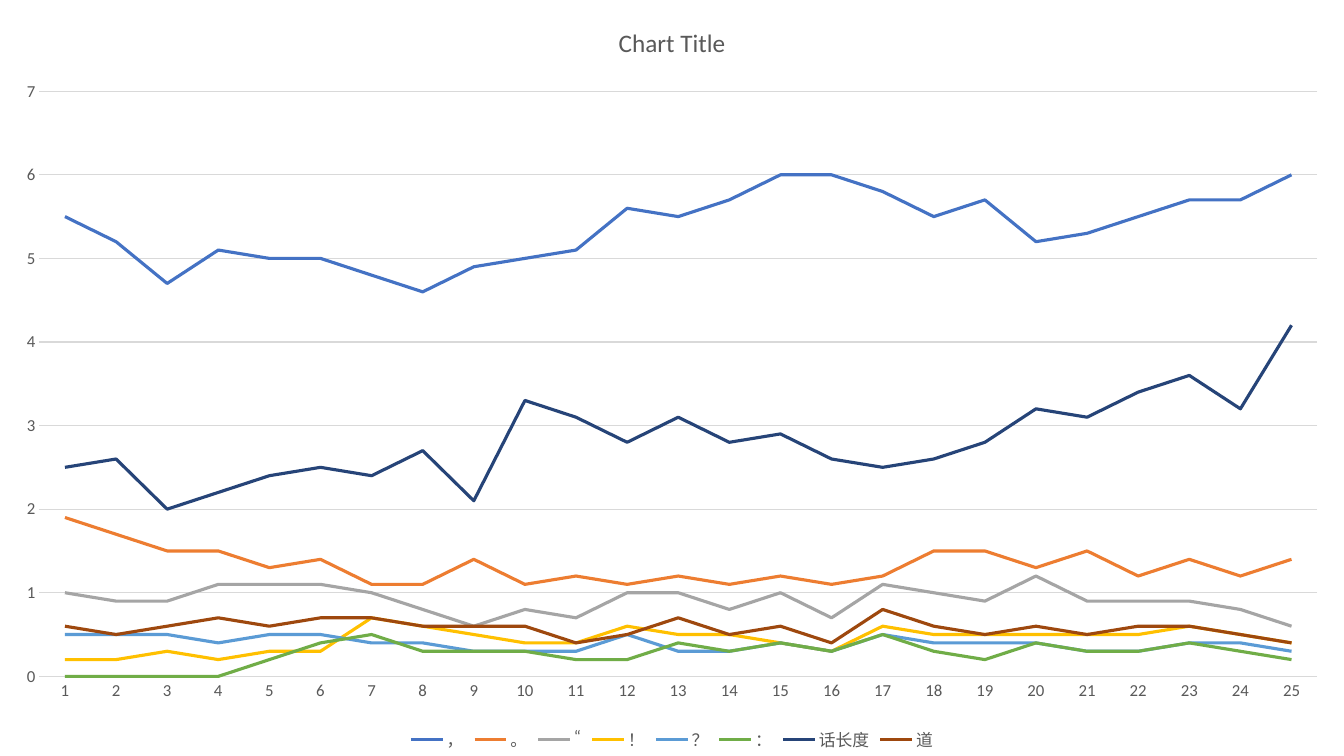
from pptx import Presentation
from pptx.chart.data import CategoryChartData
from pptx.dml.color import RGBColor
from pptx.enum.chart import XL_CHART_TYPE, XL_LEGEND_POSITION, XL_TICK_MARK
from pptx.util import Inches, Pt

TITLE = "Chart Title"
FONT = "Calibri"
COLORS = {"text": "595959", "grid": "D9D9D9"}
CATEGORIES = [str(number) for number in range(1, 26)]
# name, line colour, values
SERIES = [
    ("，", "4472C4", [5.5, 5.2, 4.7, 5.1, 5, 5, 4.8, 4.6, 4.9, 5, 5.1, 5.6, 5.5,
                     5.7, 6, 6, 5.8, 5.5, 5.7, 5.2, 5.3, 5.5, 5.7, 5.7, 6]),
    ("。", "ED7D31", [1.9, 1.7, 1.5, 1.5, 1.3, 1.4, 1.1, 1.1, 1.4, 1.1, 1.2, 1.1, 1.2,
                     1.1, 1.2, 1.1, 1.2, 1.5, 1.5, 1.3, 1.5, 1.2, 1.4, 1.2, 1.4]),
    ("“", "A5A5A5", [1, 0.9, 0.9, 1.1, 1.1, 1.1, 1, 0.8, 0.6, 0.8, 0.7, 1, 1,
                     0.8, 1, 0.7, 1.1, 1, 0.9, 1.2, 0.9, 0.9, 0.9, 0.8, 0.6]),
    ("！", "FFC000", [0.2, 0.2, 0.3, 0.2, 0.3, 0.3, 0.7, 0.6, 0.5, 0.4, 0.4, 0.6, 0.5,
                     0.5, 0.4, 0.3, 0.6, 0.5, 0.5, 0.5, 0.5, 0.5, 0.6, 0.5, 0.4]),
    ("？", "5B9BD5", [0.5, 0.5, 0.5, 0.4, 0.5, 0.5, 0.4, 0.4, 0.3, 0.3, 0.3, 0.5, 0.3,
                     0.3, 0.4, 0.3, 0.5, 0.4, 0.4, 0.4, 0.3, 0.3, 0.4, 0.4, 0.3]),
    ("：", "70AD47", [0, 0, 0, 0, 0.2, 0.4, 0.5, 0.3, 0.3, 0.3, 0.2, 0.2, 0.4,
                     0.3, 0.4, 0.3, 0.5, 0.3, 0.2, 0.4, 0.3, 0.3, 0.4, 0.3, 0.2]),
    ("话长度", "264478", [2.5, 2.6, 2, 2.2, 2.4, 2.5, 2.4, 2.7, 2.1, 3.3, 3.1, 2.8, 3.1,
                       2.8, 2.9, 2.6, 2.5, 2.6, 2.8, 3.2, 3.1, 3.4, 3.6, 3.2, 4.2]),
    ("道", "9E480E", [0.6, 0.5, 0.6, 0.7, 0.6, 0.7, 0.7, 0.6, 0.6, 0.6, 0.4, 0.5, 0.7,
                     0.5, 0.6, 0.4, 0.8, 0.6, 0.5, 0.6, 0.5, 0.6, 0.6, 0.5, 0.4]),
]


def style_font(font, size=12):
    font.name = FONT
    font.size = Pt(size)
    font.bold = False
    font.color.rgb = RGBColor.from_string(COLORS["text"])


def style_line(line, color, width):
    line.color.rgb = RGBColor.from_string(color)
    line.width = Pt(width)


def write_title(chart, text, size):
    chart.has_title = True
    chart.chart_title.include_in_layout = False
    span = chart.chart_title.text_frame.paragraphs[0].add_run()
    span.text = text
    style_font(span.font, size)


def style_axes(chart):
    for axis in (chart.category_axis, chart.value_axis):
        axis.major_tick_mark = axis.minor_tick_mark = XL_TICK_MARK.NONE
        style_font(axis.tick_labels.font)
    style_line(chart.category_axis.format.line, COLORS["grid"], 0.75)
    values = chart.value_axis
    values.minimum_scale, values.maximum_scale, values.major_unit = 0, 7, 1
    values.tick_labels.number_format = "General"
    values.tick_labels.number_format_is_linked = False
    values.format.line.fill.background()
    style_line(values.major_gridlines.format.line, COLORS["grid"], 0.75)


def add_line_chart(page, width, height):
    data = CategoryChartData()
    data.categories = CATEGORIES
    for name, _, values in SERIES:
        data.add_series(name, values)
    chart = page.shapes.add_chart(XL_CHART_TYPE.LINE, 0, 0, width, height, data).chart
    style_font(chart.font)
    write_title(chart, TITLE, 18)
    style_axes(chart)
    chart.has_legend = True
    chart.legend.position = XL_LEGEND_POSITION.BOTTOM
    chart.legend.include_in_layout = False
    style_font(chart.legend.font)
    chart.plots[0].vary_by_categories = False
    for series, (_, color, _) in zip(chart.plots[0].series, SERIES):
        series.smooth = False
        style_line(series.format.line, color, 2.25)


def main():
    deck = Presentation()
    deck.slide_width, deck.slide_height = Inches(13.33), Inches(7.5)
    page = deck.slides.add_slide(deck.slide_layouts[6])
    add_line_chart(page, deck.slide_width, deck.slide_height)
    deck.save("out.pptx")


if __name__ == "__main__":
    main()
